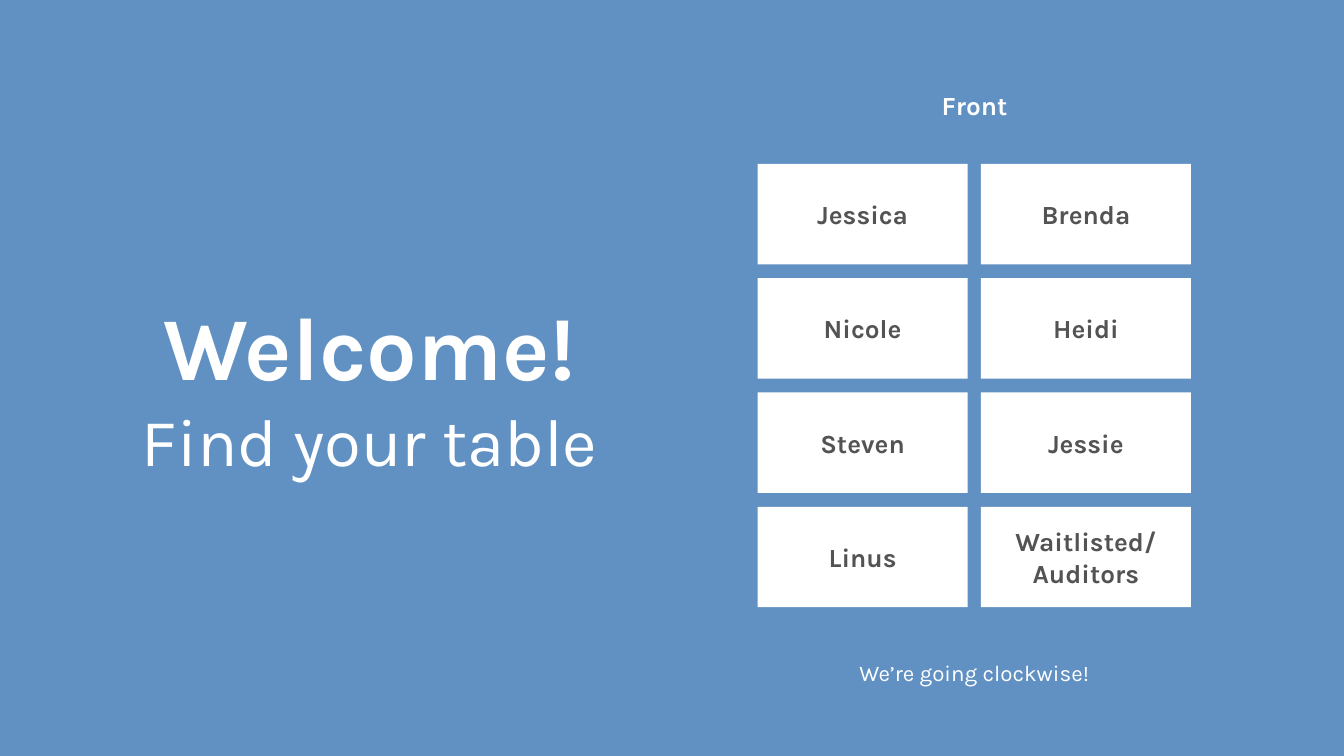
"""Build a welcome slide with a seating plan of tables."""
from dataclasses import dataclass

from pptx import Presentation
from pptx.dml.color import RGBColor
from pptx.enum import shapes as es, text as et
from pptx.util import Cm, Pt

HUES = {"back": "6191C2", "white": "FFFFFF", "ink": "535353"}
FONT = "Karla"
SEATS = [
    ("Jessica", "Brenda"),
    ("Nicole", "Heidi"),
    ("Steven", "Jessie"),
    ("Linus", "Waitlisted/\nAuditors"),
]


@dataclass
class Box:
    left: float
    top: float
    width: float
    height: float

    def cm(self) -> tuple:
        return Cm(self.left), Cm(self.top), Cm(self.width), Cm(self.height)


def hue(name: str) -> RGBColor:
    return RGBColor.from_string(HUES[name])


def write(shape, words: str, sizes=(14,), bolds=(True,), color="white",
          anchor=et.MSO_ANCHOR.MIDDLE, inset=0.25) -> None:
    frame = shape.text_frame
    frame.word_wrap = True
    frame.auto_size = et.MSO_AUTO_SIZE.NONE
    frame.vertical_anchor = anchor
    frame.margin_left = frame.margin_right = Cm(inset)
    frame.margin_top = frame.margin_bottom = Cm(inset)
    frame.text = words
    for row, para in enumerate(frame.paragraphs):
        para.alignment = et.PP_ALIGN.CENTER
        font = para.font
        font.name = FONT
        font.size = Pt(sizes[min(row, len(sizes) - 1)])
        font.bold = bolds[min(row, len(bolds) - 1)]
        font.color.rgb = hue(color)


def draw_seat(slide, box: Box, name: str) -> None:
    seat = slide.shapes.add_shape(es.MSO_SHAPE.RECTANGLE, *box.cm())
    seat.shadow.inherit = False
    seat.fill.solid()
    seat.fill.fore_color.rgb = hue("white")
    seat.line.fill.background()
    write(seat, name, color="ink")


def draw_label(slide, box: Box, words: str, **style) -> None:
    write(slide.shapes.add_textbox(*box.cm()), words, **style)


def main() -> None:
    deck = Presentation()
    deck.slide_width, deck.slide_height = Cm(25.4), Cm(14.29)
    slide = deck.slides.add_slide(deck.slide_layouts[5])
    slide.background.fill.solid()
    slide.background.fill.fore_color.rgb = hue("back")

    title = slide.shapes.title
    title.left, title.top, title.width, title.height = Box(1.4, 2.84, 11.18, 8.89).cm()
    write(title, "Welcome!\nFind your table", sizes=(48, 36), bolds=(True, False))

    draw_label(slide, Box(15.57, 1.27, 5.7, 1.27), "Front",
               anchor=et.MSO_ANCHOR.BOTTOM)
    for row, pair in enumerate(SEATS):
        for col, name in enumerate(pair):
            box = Box(14.32 + col * 4.22, 3.1 + row * 2.16, 3.97, 1.9)
            draw_seat(slide, box, name)
    draw_label(slide, Box(14.73, 12.4, 7.37, 0.64), "We’re going clockwise!",
               sizes=(12,), bolds=(False,), inset=0)

    deck.save("out.pptx")


if __name__ == "__main__":
    main()
